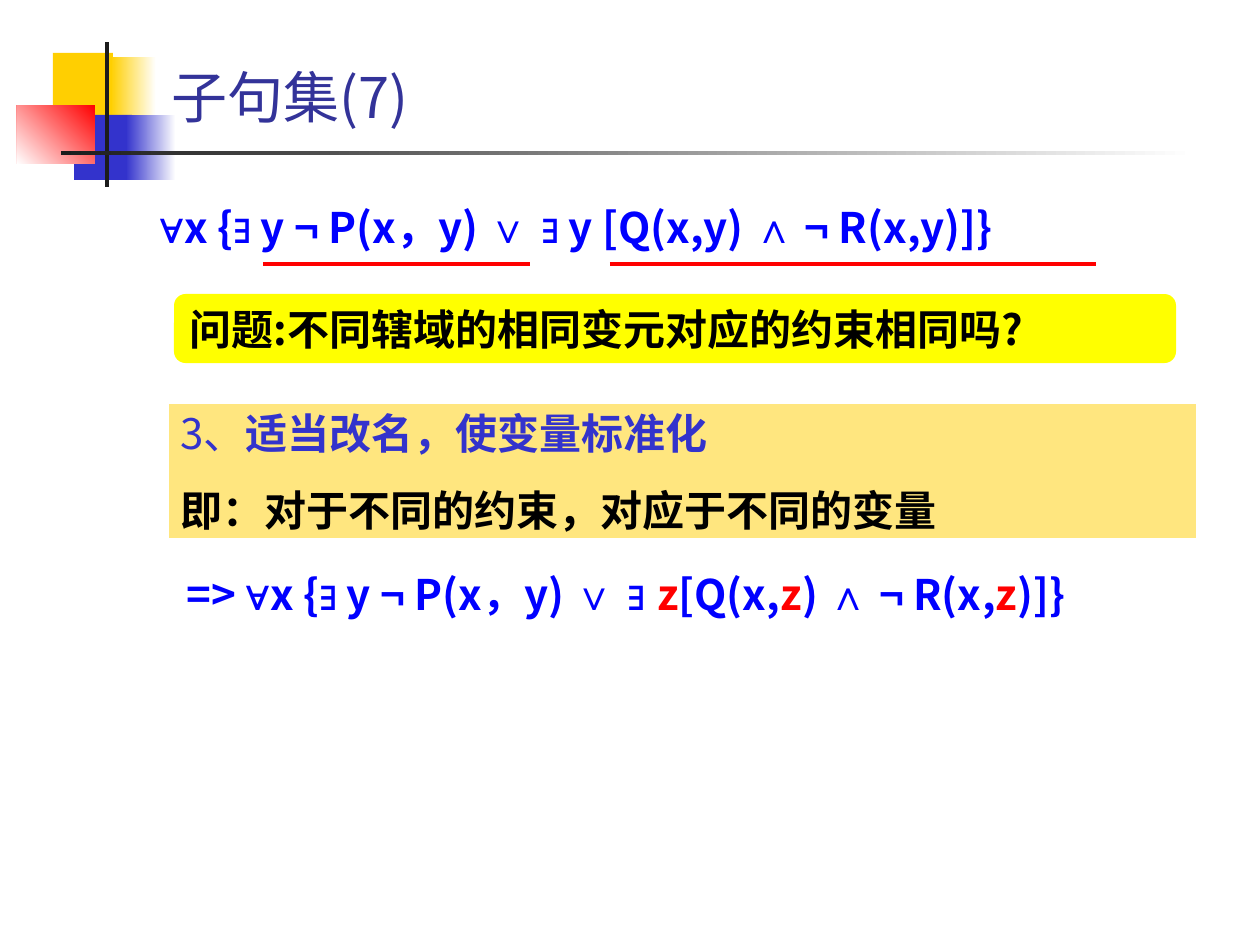
from lxml.etree import SubElement
from pptx import Presentation
from pptx.dml.color import RGBColor
from pptx.enum.shapes import MSO_CONNECTOR, MSO_SHAPE
from pptx.enum.text import MSO_ANCHOR, MSO_AUTO_SIZE, PP_ALIGN
from pptx.oxml.ns import qn
from pptx.util import Emu, Pt

PX = 914400 // 126
SANS, MATH = "Noto Sans CJK SC", "Arial"
BLUE, RED, BLACK, NAVY = "0000FF", "FF0000", "000000", "3333CC"
GOLD, DARK, WHITE = "FFCF01", "1C1C1C", "FFFFFF"

TITLE = "子句集(7)"
# place in px, colours from first to last, angle (counter-clockwise)
DECOR = [
    ((53, 53, 60, 65), [GOLD], 0),
    ((111, 57, 45, 65), [WHITE, GOLD], 180),
    ((74, 115, 58, 65), [NAVY], 0),
    ((126, 115, 50, 65), [WHITE, NAVY], 180),
    ((17, 105, 78, 59), [RED, WHITE], 225),
    ((105, 42, 4, 145), [DARK], 0),
    ((61, 151, 1134, 4), [WHITE, DARK], 180),
]
# Each paragraph is a list of runs: text, colour, bold, font
START = [
    ("∀", BLUE, True, MATH), ("x {", BLUE, True, SANS),
    ("∃", BLUE, True, MATH), (" y ¬ P(x，y) ", BLUE, True, SANS),
]
FORMULA = START + [
    ("∨ ∃", BLUE, True, MATH), (" y [Q(x,y) ", BLUE, True, SANS),
    ("∧", BLUE, True, MATH), (" ¬ R(x,y)]}", BLUE, True, SANS),
]
RESULT = [("=> ", BLUE, True, SANS)] + START + [
    ("∨ ∃ ", BLUE, True, MATH), ("z", RED, True, SANS),
    ("[Q(x,", BLUE, True, SANS), ("z", RED, True, SANS),
    (") ", BLUE, True, SANS), ("∧", BLUE, True, MATH),
    (" ¬ R(x,", BLUE, True, SANS), ("z", RED, True, SANS),
    (")]}", BLUE, True, SANS),
]
STEP = [
    [("3、", NAVY, False, SANS), ("适当改名，使变量标准化", NAVY, True, SANS)],
    [("即：对于不同的约束，对应于不同的变量", BLACK, True, SANS)],
]
QUERY = [("问题:不同辖域的相同变元对应的约束相同吗?", BLACK, True, SANS)]
RULES = [(610, 1096), (263, 530)]
RULE_Y = 264


def rgb(code):
    return RGBColor.from_string(code)


def px(*nums):
    return [Emu(n * PX) for n in nums]


def add_run(para, text, color, bold, face, size=24):
    run = para.add_run()
    run.text = text
    font = run.font
    font.size, font.bold, font.name = Pt(size), bold, face
    font.color.rgb = rgb(color)
    SubElement(font._element, qn("a:ea")).set("typeface", SANS)


def write(frame, paras, gap=0):
    frame.word_wrap = False
    for i, runs in enumerate(paras):
        para = frame.paragraphs[0] if i == 0 else frame.add_paragraph()
        para.alignment = PP_ALIGN.LEFT
        if i:
            para.space_before = Pt(gap)
        for run in runs:
            add_run(para, *run)


def add_box(slide, place, kind=MSO_SHAPE.RECTANGLE, fill=None, line=None):
    box = slide.shapes.add_shape(kind, *px(*place))
    box.shadow.inherit = False
    if fill:
        box.fill.solid()
        box.fill.fore_color.rgb = rgb(fill)
    else:
        box.fill.background()
    if line:
        box.line.color.rgb = rgb(line)
        box.line.width = Pt(0.75)
    else:
        box.line.fill.background()
    box.text_frame.vertical_anchor = MSO_ANCHOR.MIDDLE
    return box


def shade(box, colors, angle):
    box.fill.gradient()
    box.fill.gradient_angle = angle
    for stop, color, spot in zip(box.fill.gradient_stops, colors, (0, 1)):
        stop.color.rgb = rgb(color)
        stop.position = spot


def add_rule(slide, left, right, y):
    rule = slide.shapes.add_connector(
        MSO_CONNECTOR.STRAIGHT, *px(left, y, right, y))
    rule.line.color.rgb = rgb(RED)
    rule.line.width = Pt(2.25)
    SubElement(rule._element.spPr, qn("a:effectLst"))


def main():
    prs = Presentation()
    prs.slide_width, prs.slide_height = px(1260, 945)
    slide = prs.slides.add_slide(prs.slide_layouts[5])

    for place, colors, angle in DECOR:
        box = add_box(slide, place, fill=colors[0])
        if len(colors) > 1:
            shade(box, colors, angle)

    title = slide.shapes.title
    title.element.getparent().append(title.element)  # in front of the squares
    title.left, title.top, title.width, title.height = px(159, 29, 1073, 107)
    frame = title.text_frame
    frame.vertical_anchor = MSO_ANCHOR.BOTTOM
    frame.auto_size = MSO_AUTO_SIZE.NONE
    frame.paragraphs[0].alignment = PP_ALIGN.LEFT
    add_run(frame.paragraphs[0], TITLE, "333399", False, SANS, 32)

    box = add_box(slide, (174, 562, 1029, 63), line=WHITE)
    write(box.text_frame, [RESULT])

    box = add_box(slide, (168, 403, 1029, 136), fill=GOLD, line=WHITE)
    tint = box.fill._xPr.find(qn("a:solidFill"))[0]
    SubElement(tint, qn("a:alpha")).set("val", "50000")
    write(box.text_frame, STEP, gap=15)

    box = slide.shapes.add_textbox(*px(147, 195, 1011, 63))
    write(box.text_frame, [FORMULA])

    for left, right in RULES:
        add_rule(slide, left, right, RULE_Y)

    box = add_box(slide, (174, 294, 1002, 69),
                  MSO_SHAPE.ROUNDED_RECTANGLE, "FFFF00")
    write(box.text_frame, [QUERY])

    prs.save("out.pptx")


if __name__ == "__main__":
    main()
